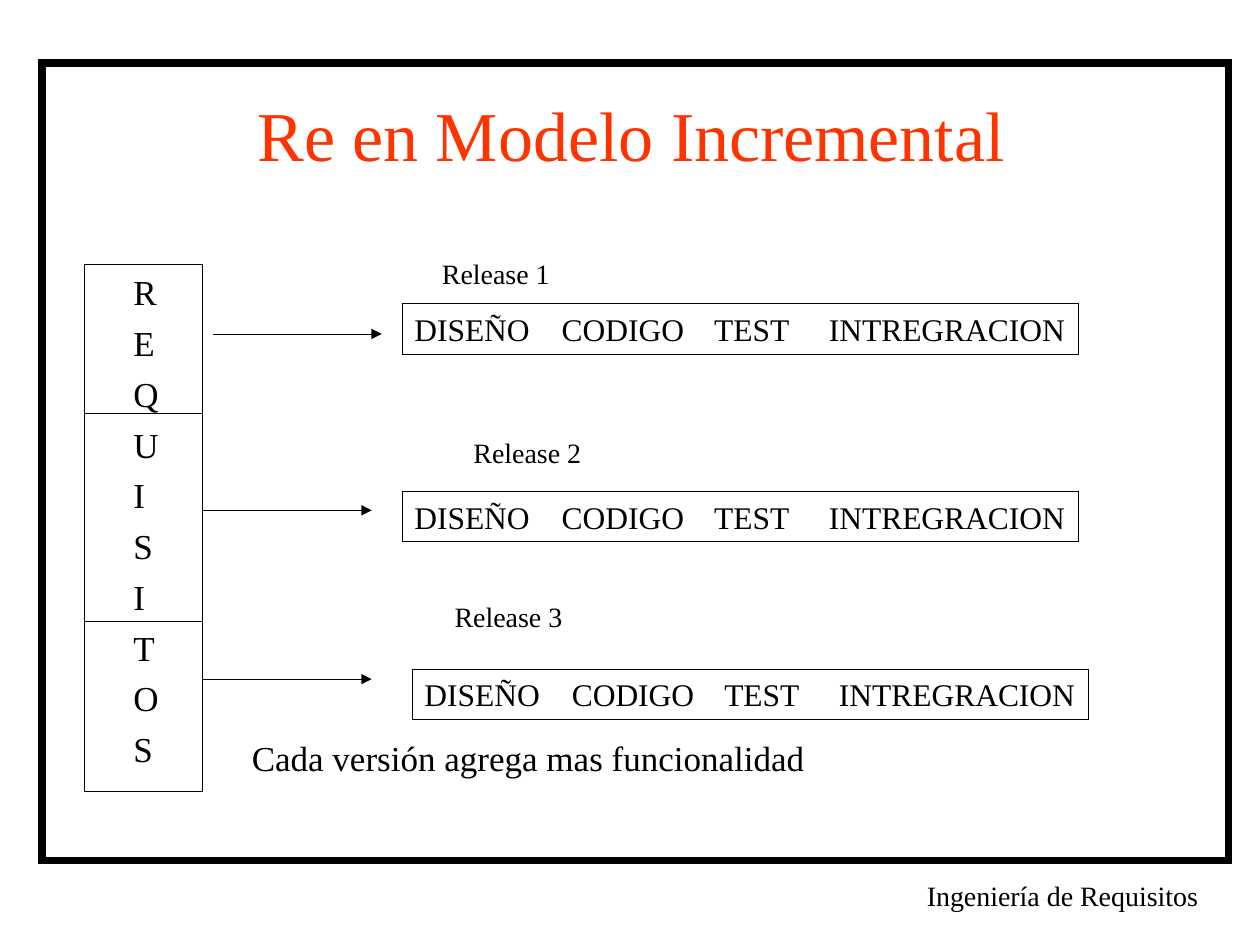
from lxml.etree import SubElement
from pptx import Presentation
from pptx.dml.color import RGBColor
from pptx.enum.shapes import MSO_CONNECTOR, MSO_SHAPE
from pptx.enum.text import MSO_ANCHOR, PP_ALIGN
from pptx.oxml.ns import qn
from pptx.util import Inches, Pt

TITLE = "Re en Modelo Incremental"
FOOTER = "Ingeniería de Requisitos"
CONCLUSION = "Cada versión agrega mas funcionalidad"
REQUIREMENTS = "REQUISITOS"
PHASES = ["DISEÑO", "CODIGO", "TEST", "INTREGRACION"]
PHASE_TABS = [1.17, 2.38, 3.29]
RELEASES = [
    {"name": "Release 1", "label": (3.41, 1.99), "box": (3.19, 2.41), "arrow": (1.69, 2.65)},
    {"name": "Release 2", "label": (3.66, 3.41), "box": (3.19, 3.9), "arrow": (1.61, 4.05)},
    {"name": "Release 3", "label": (3.51, 4.71), "box": (3.27, 5.31), "arrow": (1.61, 5.39)},
]
COLORS = {"ink": "000000", "title": "FF3300"}
FONT = "Times New Roman"
THIN = 0.37
ARROW_LENGTH = 1.34
COLUMN_LEFT, COLUMN_TOP, COLUMN_WIDTH, COLUMN_HEIGHT = 0.67, 2.1, 0.94, 4.18
DIVIDERS = [3.28, 4.93]

presentation = Presentation()
presentation.slide_width, presentation.slide_height = Inches(10), Inches(7.5)
slide = presentation.slides.add_slide(presentation.slide_layouts[6])


def color(name):
    return RGBColor.from_string(COLORS[name])


def add_box(left, top, width, height, weight=THIN):
    shape = slide.shapes.add_shape(
        MSO_SHAPE.RECTANGLE, Inches(left), Inches(top), Inches(width), Inches(height))
    shape.shadow.inherit = False
    shape.fill.background()
    shape.line.color.rgb = color("ink")
    shape.line.width = Pt(weight)
    SubElement(shape.line._get_or_add_ln(), qn("a:miter"), lim="800000")
    return shape


def add_line(left, y, length, arrow=False):
    line = slide.shapes.add_connector(
        MSO_CONNECTOR.STRAIGHT, Inches(left), Inches(y), Inches(left + length), Inches(y))
    line.line.color.rgb = color("ink")
    line.line.width = Pt(THIN)
    if arrow:
        SubElement(line.line._get_or_add_ln(), qn("a:tailEnd"), type="triangle")
    SubElement(line._element.spPr, qn("a:effectLst"))


def write(shape, lines, size, ink="ink", align=PP_ALIGN.LEFT, space=0, tabs=(), wrap=True):
    """Fill a shape with one paragraph per line, with tab stops in inches."""
    frame = shape.text_frame
    frame.word_wrap = wrap
    frame.vertical_anchor = MSO_ANCHOR.TOP
    frame.text = "\n".join(lines)
    for paragraph in frame.paragraphs:
        paragraph.alignment = align
        paragraph.space_before = Pt(space)
        if tabs:
            tab_list = SubElement(paragraph._p.get_or_add_pPr(), qn("a:tabLst"))
            for stop in tabs:
                SubElement(tab_list, qn("a:tab"), pos=str(Inches(stop)), algn="l")
        paragraph.font.name = FONT
        paragraph.font.size = Pt(size)
        paragraph.font.color.rgb = color(ink)
    return frame


def add_text(left, top, width, height, lines, size, **style):
    box = slide.shapes.add_textbox(Inches(left), Inches(top), Inches(width), Inches(height))
    return write(box, lines, size, **style)


add_box(0.33, 0.5, 9.42, 6.33, weight=4.5)
footer = add_text(0.92, 6.92, 8.67, 0.37, [FOOTER], 16, align=PP_ALIGN.RIGHT)
footer.margin_right = Inches(0.08)
add_text(0.51, 0.68, 9, 1.25, [TITLE], 40, ink="title", align=PP_ALIGN.CENTER)

add_box(COLUMN_LEFT, COLUMN_TOP, COLUMN_WIDTH, COLUMN_HEIGHT)
add_text(0.96, 2.1, 0.4, 4.46, REQUIREMENTS, 20, space=5, wrap=False)
for y in DIVIDERS:
    add_line(COLUMN_LEFT, y, COLUMN_WIDTH)

for release in RELEASES:
    add_text(*release["label"], 1.2, 0.37, [release["name"]], 16)
    add_line(*release["arrow"], ARROW_LENGTH, arrow=True)
    phases = write(add_box(*release["box"], 5.37, 0.4), ["\t".join(PHASES)], 18, tabs=PHASE_TABS)
    phases.margin_right = 0

add_text(1.9, 5.8, 4.7, 0.44, [CONCLUSION], 20)

presentation.save("out.pptx")
